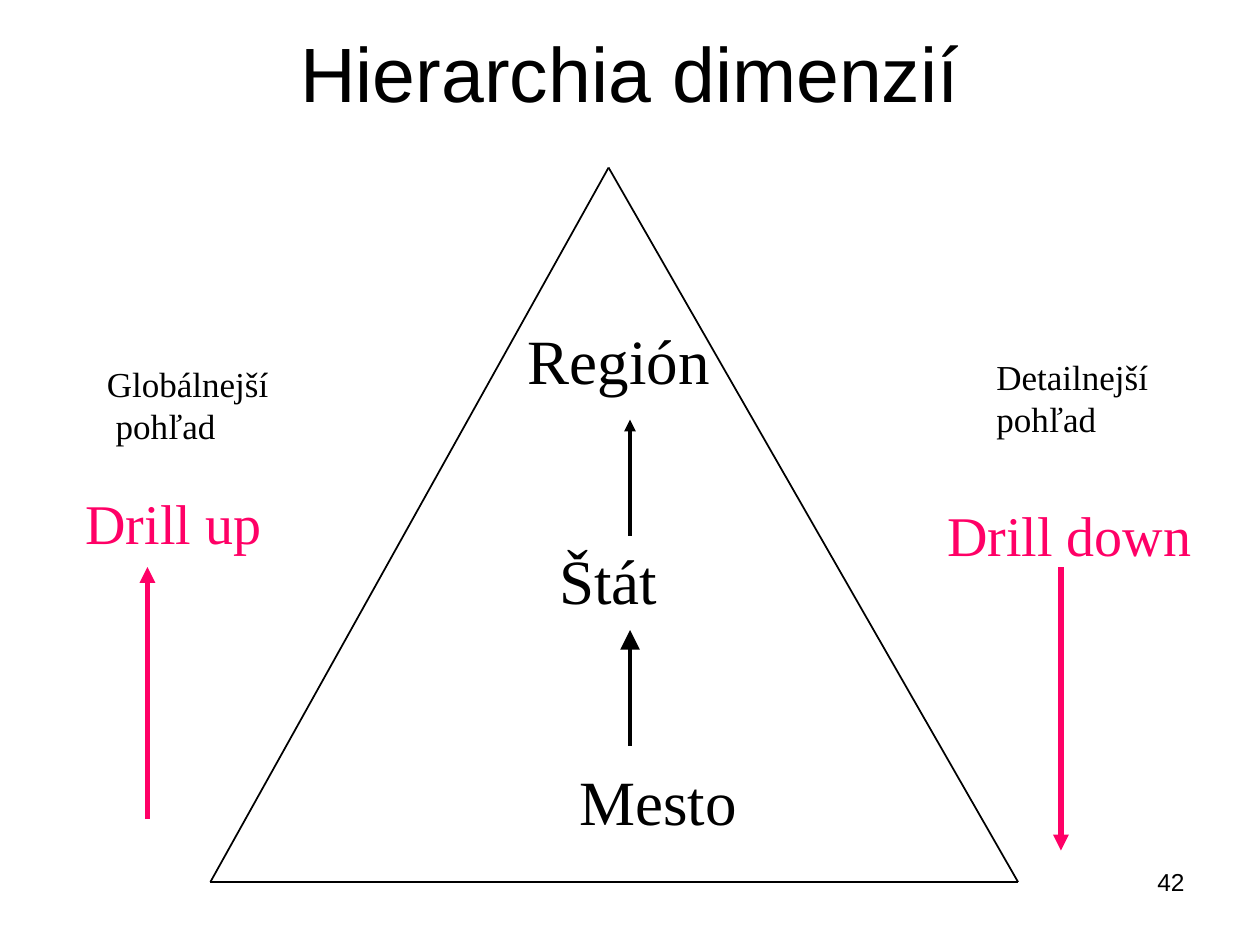
from typing import NamedTuple

from lxml.etree import SubElement
from pptx import Presentation
from pptx.dml.color import RGBColor
from pptx.enum.shapes import MSO_CONNECTOR
from pptx.enum.text import MSO_ANCHOR, MSO_AUTO_SIZE, PP_ALIGN
from pptx.oxml.ns import qn
from pptx.util import Inches, Pt

COLORS = {"ink": "000000", "accent": "FF0066"}
SERIF, SANS = "Times New Roman", "Arial"


class Label(NamedTuple):
    lines: tuple[str, ...]
    left: float
    top: float
    width: float
    height: float
    size: int
    color: str = "ink"


class Line(NamedTuple):
    start: tuple[float, float]
    end: tuple[float, float]
    weight: float
    color: str = "ink"
    head: str = ""  # arrowhead size: "med", "lg" or none


LEVELS = [
    Label(("Región",), 4.09, 2.5, 1.7, 0.7, 36),
    Label(("Štát",), 4.34, 4.25, 1.04, 0.7, 36),
    Label(("Mesto",), 4.5, 6, 1.5, 0.7, 36),
]
DIRECTIONS = [
    Label(("Globálnejší", " pohľad"), 0.75, 2.83, 1.54, 0.77, 20),
    Label(("Drill up",), 0.58, 3.83, 1.65, 0.64, 32, "accent"),
    Label(("Detailnejší", "pohľad"), 7.81, 2.77, 1.53, 0.77, 20),
    Label(("Drill down",), 7.42, 3.92, 2.2, 0.64, 32, "accent"),
]
APEX, BASE_LEFT, BASE_RIGHT = (4.83, 1.33), (1.67, 7), (8.08, 7)
SIDES = [
    Line(APEX, BASE_LEFT, 1),
    Line(BASE_LEFT, BASE_RIGHT, 1),
    Line(APEX, BASE_RIGHT, 1),
]
ARROWS = [
    Line((5, 4.25), (5, 3.33), 2.25, head="med"),
    Line((5, 5.92), (5, 5), 2.25, head="lg"),
    Line((1.17, 6.5), (1.17, 4.5), 3, "accent", "med"),
    Line((8.42, 4.5), (8.42, 6.75), 3, "accent", "med"),
]


def add_span(para, text: str, font: str, size: int, color: str = "ink") -> None:
    span = para.add_run()
    span.text = text
    span.font.name = font
    span.font.size = Pt(size)
    span.font.color.rgb = RGBColor.from_string(COLORS[color])


def add_label(page, label: Label) -> None:
    box = page.shapes.add_textbox(
        Inches(label.left), Inches(label.top), Inches(label.width), Inches(label.height))
    frame = box.text_frame
    frame.word_wrap = True
    frame.auto_size = MSO_AUTO_SIZE.NONE
    for index, text in enumerate(label.lines):
        para = frame.add_paragraph() if index else frame.paragraphs[0]
        add_span(para, text, SERIF, label.size, label.color)


def add_line(page, line: Line) -> None:
    points = [Inches(value) for value in (*line.start, *line.end)]
    connector = page.shapes.add_connector(MSO_CONNECTOR.STRAIGHT, *points)
    connector.line.width = Pt(line.weight)
    connector.line.color.rgb = RGBColor.from_string(COLORS[line.color])
    if line.head:
        SubElement(connector.line._get_or_add_ln(), qn("a:tailEnd"),
                   type="triangle", w=line.head, len=line.head)
    SubElement(connector._element.spPr, qn("a:effectLst"))


def add_title(page, text: str) -> None:
    title = page.shapes.title
    title.left, title.top = Inches(0.5), Inches(0.2)
    title.width, title.height = Inches(9), Inches(1.25)
    frame = title.text_frame
    frame.auto_size = MSO_AUTO_SIZE.NONE
    frame.vertical_anchor = MSO_ANCHOR.TOP
    frame.margin_top = 0
    para = frame.paragraphs[0]
    para.alignment = PP_ALIGN.CENTER
    add_span(para, text, SANS, 44)


def add_page_number(page, number: str) -> None:
    box = page.shapes.add_textbox(Inches(7.17), Inches(6.83), Inches(2.33), Inches(0.52))
    box.text_frame.word_wrap = True
    para = box.text_frame.paragraphs[0]
    para.alignment = PP_ALIGN.RIGHT
    add_span(para, number, SANS, 14)


def main() -> None:
    deck = Presentation()
    deck.slide_width, deck.slide_height = Inches(10), Inches(7.5)
    page = deck.slides.add_slide(deck.slide_layouts[5])

    add_title(page, "Hierarchia dimenzií")
    # Triangle and arrows
    for line in SIDES + ARROWS:
        add_line(page, line)
    # Hierarchy levels and drill directions
    for label in LEVELS + DIRECTIONS:
        add_label(page, label)
    add_page_number(page, "42")

    deck.save("out.pptx")


if __name__ == "__main__":
    main()
